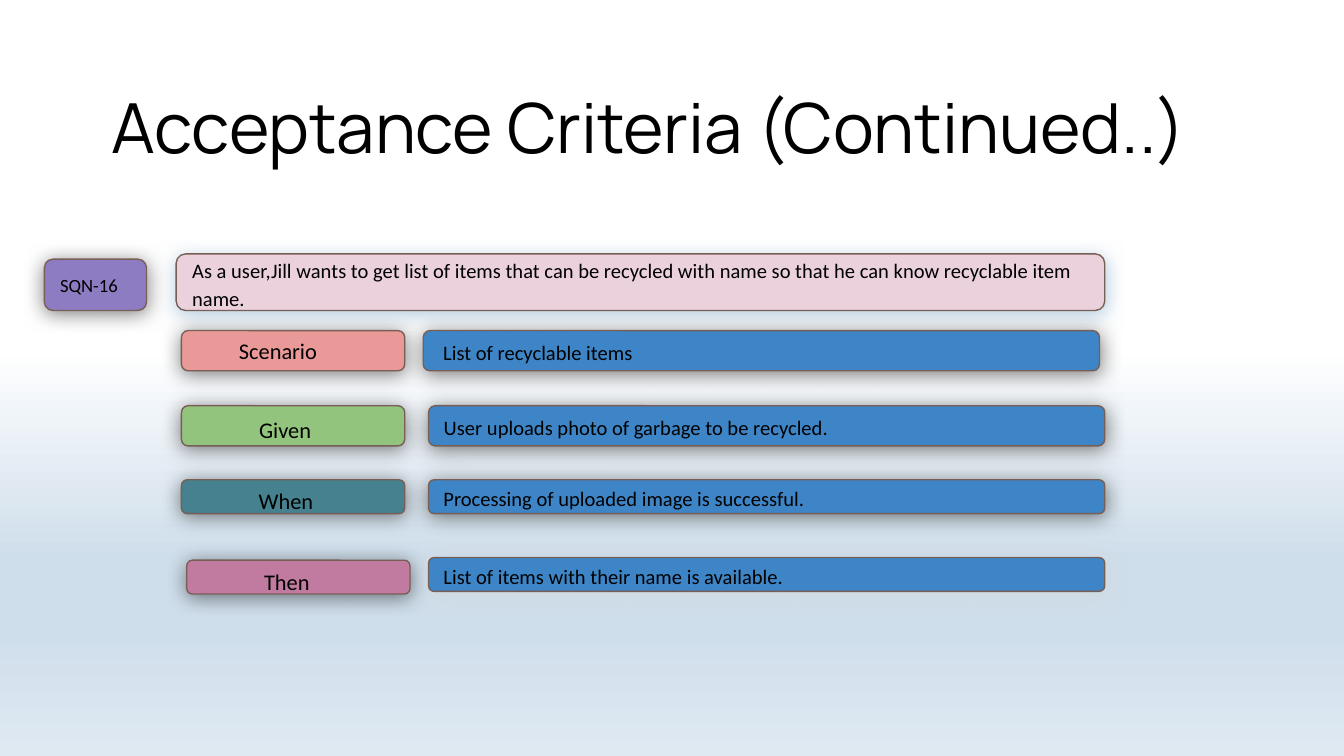
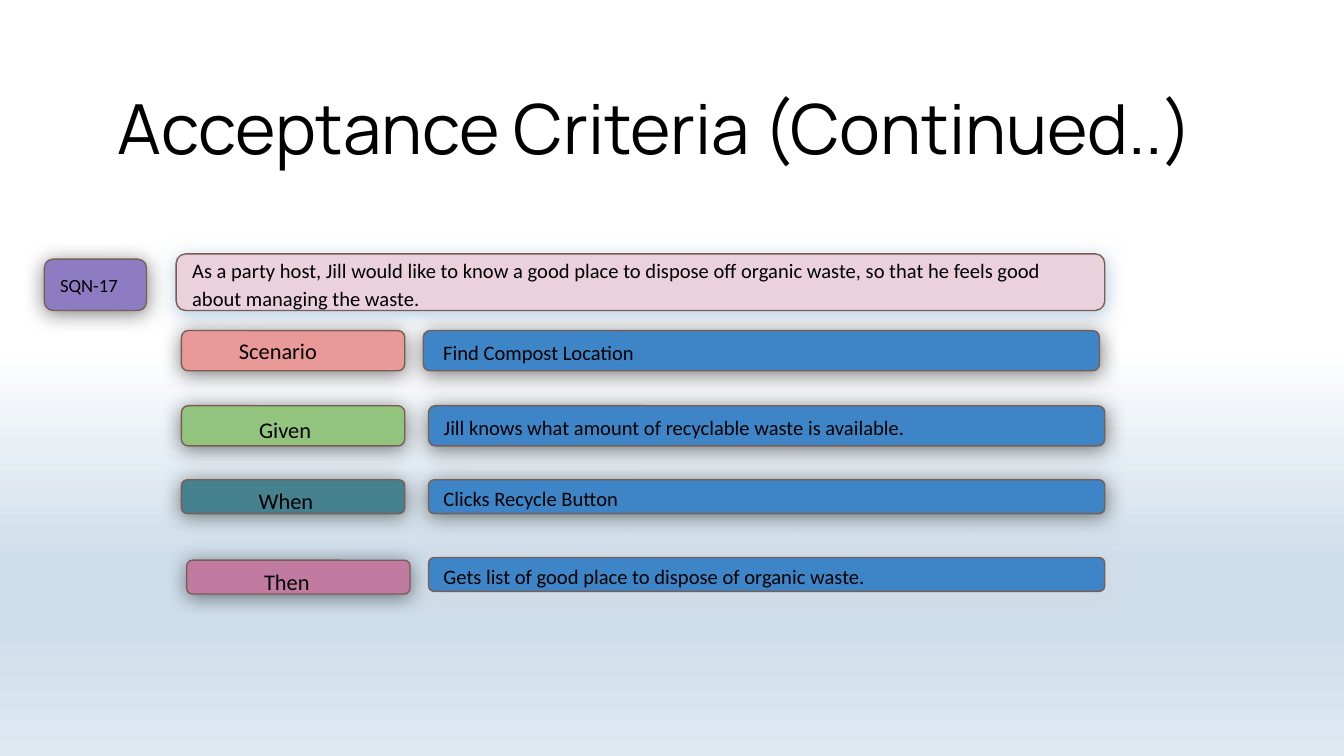
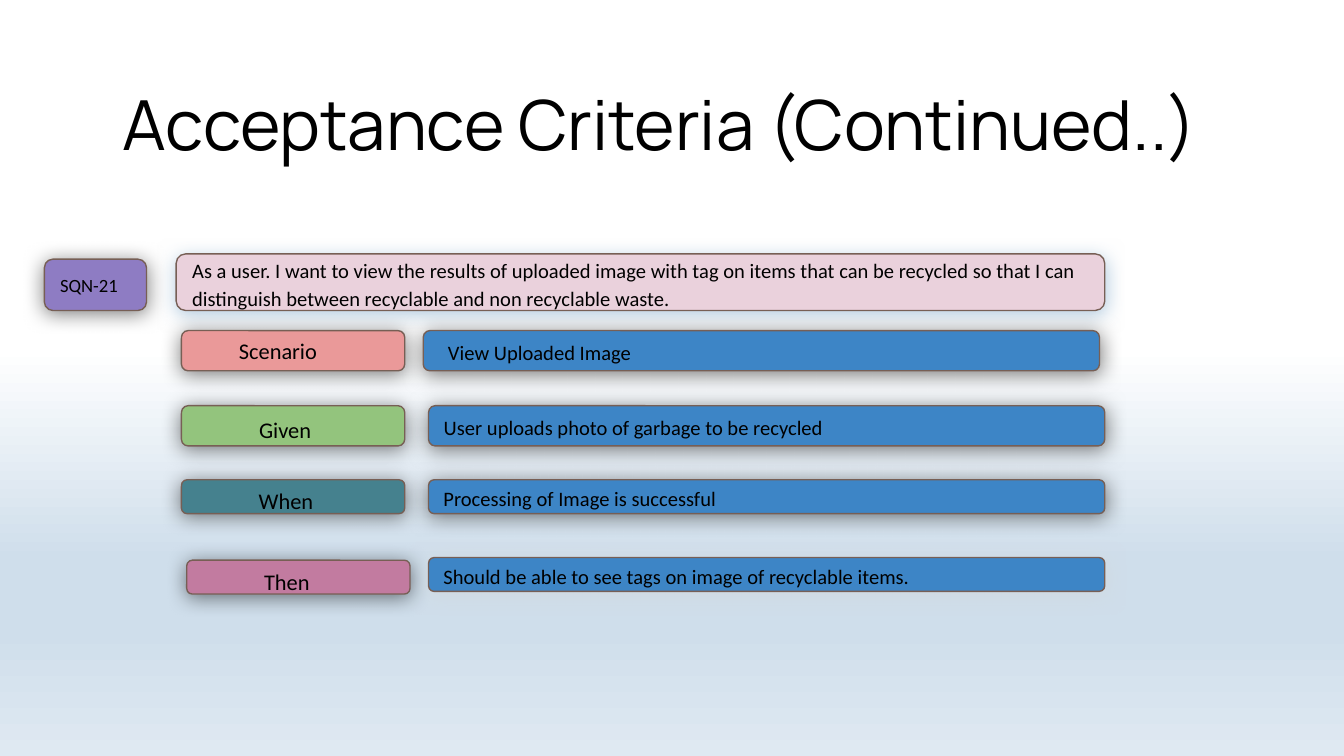
import pptx
import pptx.dml.color
import pptx.enum.shapes
import pptx.enum.text
import pptx.oxml
import pptx.oxml.ns
import pptx.util

Cm = pptx.util.Cm
Pt = pptx.util.Pt
RGBColor = pptx.dml.color.RGBColor
NS = pptx.oxml.ns.nsdecls("a")

# Colours
BLACK = RGBColor(0x00, 0x00, 0x00)
EDGE = RGBColor(0x77, 0x5F, 0x55)
PINK = RGBColor(0xEA, 0xD1, 0xDC)
VIOLET = RGBColor(0x8E, 0x7C, 0xC3)
CORAL = RGBColor(0xEA, 0x99, 0x99)
GREEN = RGBColor(0x93, 0xC4, 0x7D)
TEAL = RGBColor(0x45, 0x81, 0x8E)
MAUVE = RGBColor(0xC2, 0x7B, 0xA0)
BLUE = RGBColor(0x3D, 0x85, 0xC6)
SKY = RGBColor(0x94, 0xB6, 0xD2)
GREY = RGBColor(0xD5, 0xD5, 0xD5)
WHITE = RGBColor(0xFF, 0xFF, 0xFF)
MIST = RGBColor(0xCF, 0xDE, 0xEB)
PALE = RGBColor(0xDF, 0xE9, 0xF2)

# Background stops: position %, colour, opacity %
STOPS = [(46, WHITE, 20), (74, MIST, 100), (83, MIST, 100), (100, PALE, 100)]

# Steps: name, colour, label left, label top, answer left, answer top,
# height, label indent, label drop, shadow of the answer
STEPS = [
    ("Scenario", CORAL, 3.43, 6.25, 8.0, 6.25, 0.76, 0.8, 0, BLACK),
    ("Given", GREEN, 3.43, 7.67, 8.1, 7.67, 0.76, 1.18, 0.15, BLACK),
    ("When", TEAL, 3.43, 9.07, 8.1, 9.07, 0.64, 1.18, 0.15, BLACK),
    ("Then", MAUVE, 3.53, 10.59, 8.1, 10.54, 0.64, 1.18, 0.15, GREY),
]

# Slides: title place, code, story, indent of the first answer, answers
TITLE = "Acceptance Criteria (Continued..)"
PAGES = [
    ((1.85, 1.35, 26.8), "SQN-16",
     "As a user,Jill wants to get list of items that can be recycled with "
     "name so that he can know recyclable item name.", 0.09,
     ["List of recyclable items",
      "User uploads photo of garbage to be recycled.",
      "Processing of uploaded image is successful.",
      "List of items with their name is available."]),
    ((1.98, 1.37, 23.27), "SQN-17",
     "As a party host, Jill would like to know a good place to dispose off "
     "organic waste, so that he feels good about managing the waste.", 0.09,
     ["Find Compost Location",
      "Jill knows what amount of recyclable waste is available.",
      "Clicks Recycle Button",
      "Gets list of good place to dispose of organic waste."]),
    ((2.06, 1.3, 25.07), "SQN-21",
     "As a user. I want to view the results of uploaded image with tag on "
     "items that can be recycled so that I can distinguish between "
     "recyclable and non recyclable waste.", 0.18,
     ["View Uploaded Image",
      "User uploads photo of garbage to be recycled",
      "Processing of Image is successful",
      "Should be able to see tags on image of recyclable items."]),
]


def write(shape, text, size, font="Calibri", space=None, indent=0, drop=0):
    frame = shape.text_frame
    frame.text = text
    frame.word_wrap = True
    frame.margin_left = Cm(0.25 + indent)
    frame.margin_right = Cm(0.25)
    frame.margin_top = Cm(drop or 0.25)
    frame.margin_bottom = Cm(0 if drop else 0.25)
    para = frame.paragraphs[0]
    para.alignment = pptx.enum.text.PP_ALIGN.LEFT
    para.line_spacing = space
    face = para.runs[0].font
    face.name = font
    face.size = Pt(size)
    face.color.rgb = BLACK


def card(slide, place, fill, text, size, shade=BLACK, blur=11.2, alpha=50,
         **style):
    shape = slide.shapes.add_shape(
        pptx.enum.shapes.MSO_SHAPE.ROUNDED_RECTANGLE, *map(Cm, place))
    shape.fill.solid()
    shape.fill.fore_color.rgb = fill
    shape.line.color.rgb = EDGE
    shape.line.width = Pt(0.75)
    shape.text_frame.vertical_anchor = pptx.enum.text.MSO_ANCHOR.MIDDLE
    write(shape, text, size, **style)
    # Soft shadow straight below
    shape.shadow.inherit = False
    glow = shape.element.spPr.find(pptx.oxml.ns.qn("a:effectLst"))
    glow.append(pptx.oxml.parse_xml(
        f'<a:outerShdw {NS} blurRad="{Pt(blur)}" dist="{Pt(1.5)}" '
        f'dir="5400000" algn="ctr" rotWithShape="0"><a:srgbClr val="{shade}">'
        f'<a:alpha val="{alpha * 1000}"/></a:srgbClr></a:outerShdw>'))


deck = pptx.Presentation()
deck.slide_width = Cm(25.4)
deck.slide_height = Cm(14.29)

# Shared background on the master
master = deck.slide_master
back = master.background.fill
back.gradient()
back.gradient_angle = 270
ramp = next(master.element.iter(pptx.oxml.ns.qn("a:gsLst")))
for stop in list(ramp):
    ramp.remove(stop)
for spot, tint, alpha in STOPS:
    ramp.append(pptx.oxml.parse_xml(
        f'<a:gs {NS} pos="{spot * 1000}"><a:srgbClr val="{tint}">'
        f'<a:alpha val="{alpha * 1000}"/></a:srgbClr></a:gs>'))

for (left, top, width), code, story, inset, facts in PAGES:
    slide = deck.slides.add_slide(deck.slide_layouts[6])

    # Story and its code
    card(slide, (3.33, 4.8, 17.55, 1.07), PINK, story, 11, SKY, 10.1, 70,
         space=1.15)
    card(slide, (0.84, 4.9, 1.93, 0.97), VIOLET, code, 10)

    # Step labels
    for name, tint, x, y, _, _, high, indent, drop, _ in STEPS:
        card(slide, (x, y, 4.22, high), tint, name, 12,
             indent=indent, drop=drop)

    # Step answers, the first one slightly indented
    for row, (step, fact) in enumerate(zip(STEPS, facts)):
        x, y, high = step[4:7]
        card(slide, (x, y, 12.78, high), BLUE, fact, 11, step[-1],
             space=1.15, indent=0 if row else inset)

    # Title
    head = slide.shapes.add_textbox(Cm(left), Cm(top), Cm(width), Cm(2.08))
    write(head, TITLE, 37, "Manrope")
    head.text_frame.auto_size = pptx.enum.text.MSO_AUTO_SIZE.SHAPE_TO_FIT_TEXT

deck.save("out.pptx")
